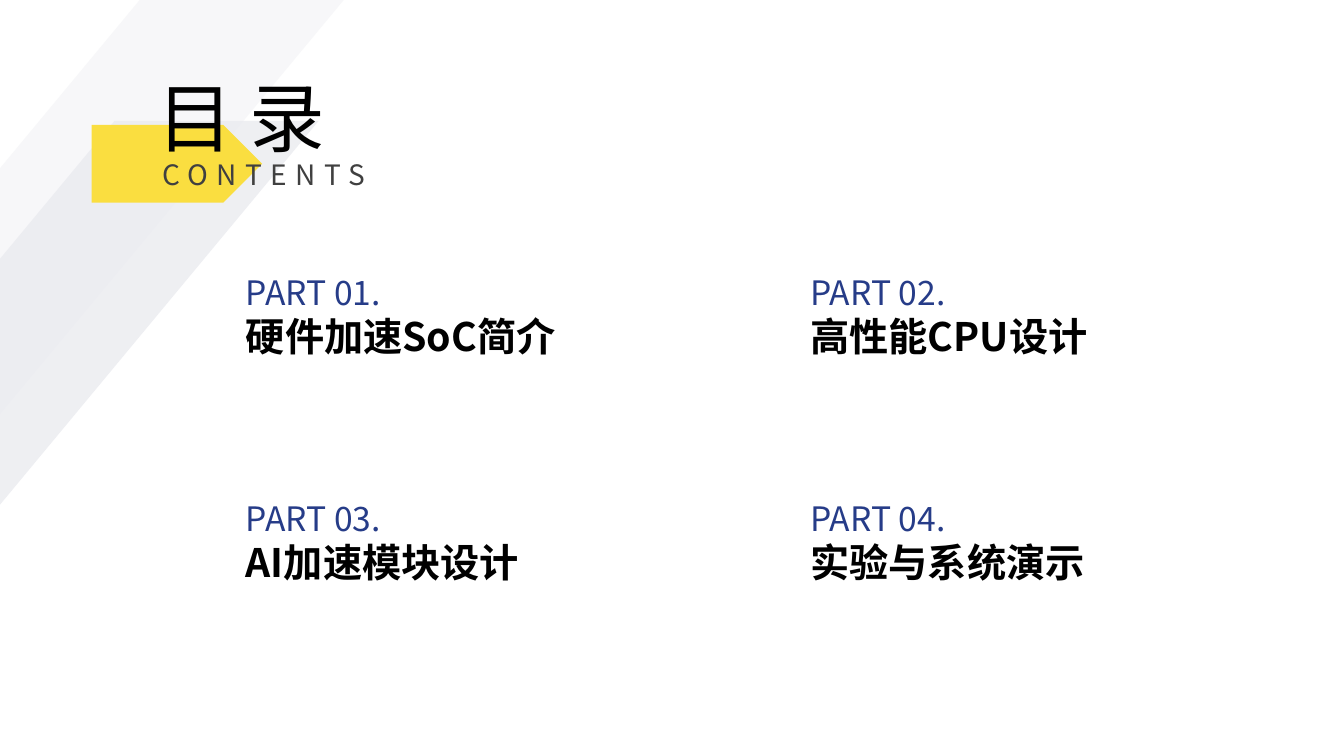
from pptx import Presentation
from pptx.dml.color import RGBColor
from pptx.enum import shapes, text
from pptx.oxml import ns, xmlchemy
from pptx.util import Inches, Pt

FONT = "Noto Sans CJK SC"
COLORS = {
    "band": "E9EAEF",
    "arrow": "FADE40",
    "part": "263C88",
    "heading": "000000",
    "subtitle": "404040",
}
CHAPTERS = ["硬件加速SoC简介", "高性能CPU设计", "AI加速模块设计", "实验与系统演示"]
CHAPTER_WIDTHS = [3.32, 3.1, 2.98, 2.95]
COLUMN_LEFTS = [2.34, 7.94]
ROW_TOPS = [2.65, 4.89]


def place(shape, left, top, width, height):
    shape.left, shape.top = Inches(left), Inches(top)
    shape.width, shape.height = Inches(width), Inches(height)


def write(shape, words, size, color, bold=False, spacing=0):
    """Fill a shape with one left-aligned line; spacing is in points."""
    frame = shape.text_frame
    frame.word_wrap = True
    frame.auto_size = text.MSO_AUTO_SIZE.NONE
    frame.vertical_anchor = text.MSO_ANCHOR.TOP
    paragraph = frame.paragraphs[0]
    paragraph.alignment = text.PP_ALIGN.LEFT
    run = paragraph.add_run()
    run.text = words
    run.font.name = FONT
    run.font.size = Pt(size)
    run.font.bold = bold
    run.font.color.rgb = RGBColor.from_string(COLORS[color])
    properties = run.font._element
    east_asian = xmlchemy.OxmlElement("a:ea")
    east_asian.set("typeface", FONT)
    properties.find(ns.qn("a:latin")).addnext(east_asian)
    if spacing:
        properties.set("spc", str(spacing * 100))


def add_label(slide, box, words, size, color, **style):
    label = slide.shapes.add_textbox(*map(Inches, box))
    write(label, words, size, color, **style)


def add_block(slide, kind, box, color):
    block = slide.shapes.add_shape(kind, *map(Inches, box))
    block.shadow.inherit = False
    block.fill.solid()
    block.fill.fore_color.rgb = RGBColor.from_string(COLORS[color])
    block.line.fill.background()
    return block


def add_band(slide, left, top, opacity):
    """Add a slanted translucent band; opacity is in percent."""
    band = add_block(slide, shapes.MSO_SHAPE.PARALLELOGRAM,
                     (left, top, 5.95, 4.73), "band")
    band.adjustments[0] = 0.83
    alpha = xmlchemy.OxmlElement("a:alpha")
    alpha.set("val", str(opacity * 1000))
    band.fill._xPr.find(".//" + ns.qn("a:srgbClr")).append(alpha)


def add_heading(slide):
    add_block(slide, shapes.MSO_SHAPE.PENTAGON, (0.91, 1.24, 1.69, 0.77), "arrow")
    title = slide.shapes.title
    place(title, 1.46, 0.65, 3.2, 1.01)
    write(title, "目 录", 54, "heading")
    slide.shapes._spTree.append(title._element)  # in front of the arrow
    add_label(slide, (1.51, 1.51, 3.1, 0.44), "CONTENTS", 20, "subtitle", spacing=6)


def add_chapters(slide):
    for index, (chapter, width) in enumerate(zip(CHAPTERS, CHAPTER_WIDTHS)):
        row, column = divmod(index, len(COLUMN_LEFTS))
        left, top = COLUMN_LEFTS[column], ROW_TOPS[row]
        add_label(slide, (left, top, 1.69, 0.5), f"PART {index + 1:02}.", 24, "part")
        add_label(slide, (left, top + 0.4, width, 0.57), chapter, 28, "heading", bold=True)


def main():
    deck = Presentation()
    deck.slide_width, deck.slide_height = Inches(13.33), Inches(7.5)
    slide = deck.slides.add_slide(deck.slide_layouts[5])
    add_chapters(slide)
    add_band(slide, -2.54, 0, 35)
    add_band(slide, -2.79, 1.2, 76)
    add_heading(slide)
    deck.save("out.pptx")


if __name__ == "__main__":
    main()
